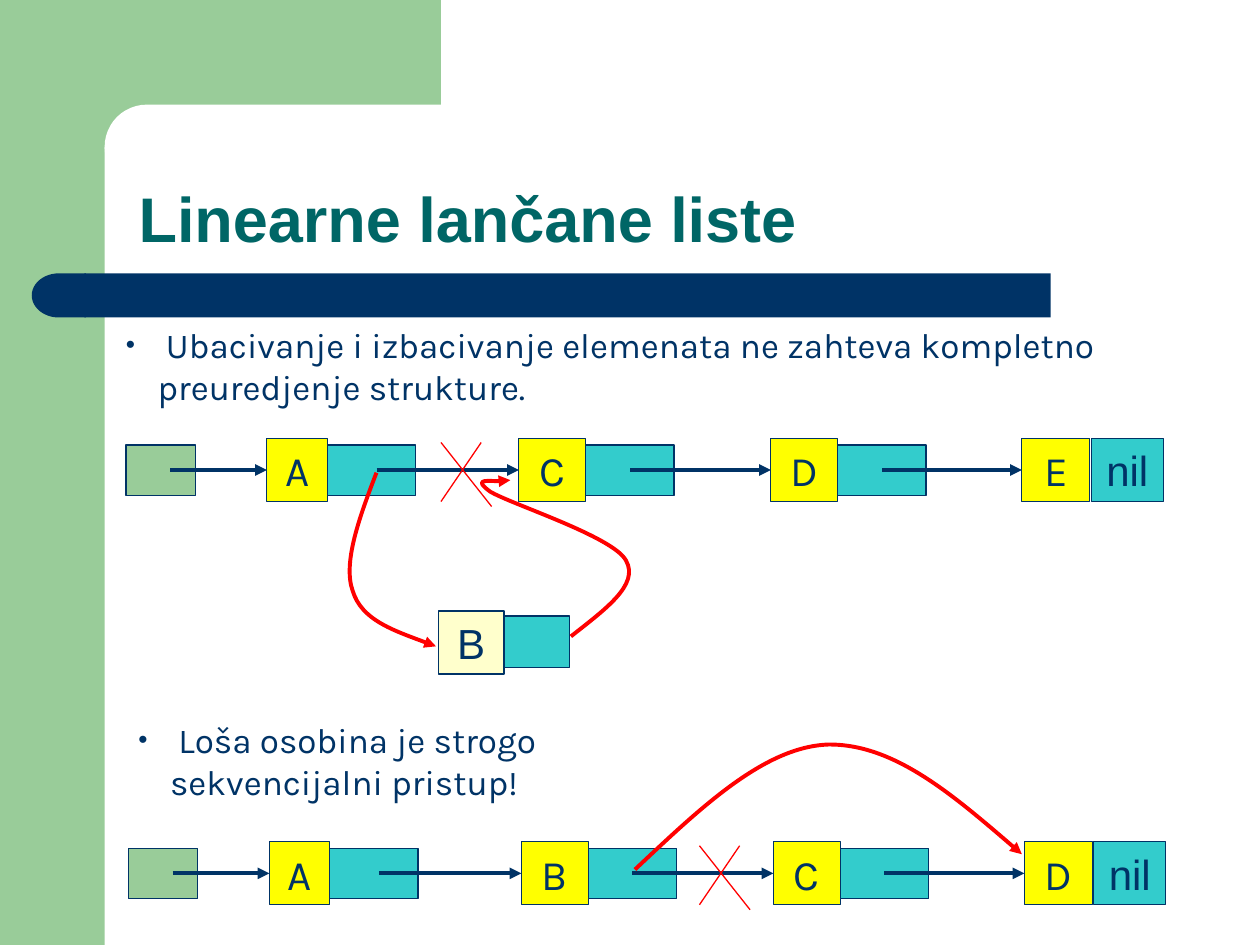
"""Build the slide on inserting into and removing from linked lists."""
from lxml.etree import SubElement
from pptx import Presentation
from pptx.dml.color import RGBColor
from pptx.enum.shapes import MSO_CONNECTOR, MSO_SHAPE
from pptx.enum.text import MSO_ANCHOR, PP_ALIGN
from pptx.oxml.ns import qn
from pptx.util import Cm, Pt

rgb = RGBColor.from_string
NAVY, GREEN, TEAL, YELLOW, RED = "003366", "99CC99", "33CCCC", "FFFF00", "FF0000"


def box(x, y, w, h, fill, text="", font="Karla", kind=MSO_SHAPE.RECTANGLE, border=True):
    sp = s.shapes.add_shape(kind, Cm(x), Cm(y), Cm(w), Cm(h))
    sp.shadow.inherit = False
    sp.fill.solid()
    sp.fill.fore_color.rgb = rgb(fill)
    if border:
        sp.line.color.rgb = rgb(NAVY)
        sp.line.width = Pt(0.75)
    else:
        sp.line.fill.background()
    if text:
        tf = sp.text_frame
        tf.word_wrap = False
        tf.vertical_anchor = MSO_ANCHOR.MIDDLE
        p = tf.paragraphs[0]
        p.alignment = PP_ALIGN.CENTER
        r = p.add_run()
        r.text = text
        for k, v in {"name": font, "size": Pt(24)}.items():
            setattr(r.font, k, v)
        r.font.color.rgb = rgb(NAVY)
    return sp


def stroke(sp, color, width, arrow=True):
    sp.line.color.rgb = rgb(color)
    sp.line.width = Pt(width)
    if arrow:
        SubElement(sp.line._get_or_add_ln(), qn("a:tailEnd"), type="triangle")
    spPr = sp.element.spPr
    if spPr.find(qn("a:effectLst")) is None:
        SubElement(spPr, qn("a:effectLst"))


prs = Presentation()
prs.slide_width, prs.slide_height = Cm(25.4), Cm(19.05)
s = prs.slides.add_slide(prs.slide_layouts[5])

for x, y, w, h, fill, kind, adj in [
    (0, 0, 2.11, 19.05, GREEN, MSO_SHAPE.RECTANGLE, None),
    (1.9, 0, 6.99, 2.97, GREEN, MSO_SHAPE.RECTANGLE, None),
    (2.11, 2.11, 14.17, 1.7, "FFFFFF", MSO_SHAPE.ROUNDED_RECTANGLE, 0.5),
    (1.7, 5.51, 19.48, 0.89, NAVY, MSO_SHAPE.RECTANGLE, None),
    (0.64, 5.51, 1.09, 0.89, NAVY, MSO_SHAPE.FLOWCHART_DELAY, None),
]:
    sp = box(x, y, w, h, fill, kind=kind, border=False)
    if adj is not None:
        sp.adjustments[0] = adj
    if kind == MSO_SHAPE.FLOWCHART_DELAY:
        sp.rotation = 180

title = s.shapes.title
s.shapes.element.append(title.element)
for k, v in {"left": 2.54, "top": 2.11, "width": 22.23, "height": 3.18}.items():
    setattr(title, k, Cm(v))
title.text_frame.vertical_anchor = MSO_ANCHOR.BOTTOM
p = title.text_frame.paragraphs[0]
p.alignment = PP_ALIGN.LEFT
p.line_spacing = 0.9
r = p.add_run()
r.text = "Linearne lančane liste"
for k, v in {"name": "Arial", "size": Pt(36), "bold": True}.items():
    setattr(r.font, k, v)
r.font.color.rgb = rgb("006666")

for x, y, w, text in [
    (2.29, 6.38, 21.21, " Ubacivanje i izbacivanje elemenata ne zahteva kompletno preuredjenje strukture."),
    (2.54, 14.35, 11.51, " Loša osobina je strogo sekvencijalni pristup!"),
]:
    tf = s.shapes.add_textbox(Cm(x), Cm(y), Cm(w), Cm(1.96)).text_frame
    tf.word_wrap = True
    tf.vertical_anchor = MSO_ANCHOR.BOTTOM
    p = tf.paragraphs[0]
    pPr = p._p.get_or_add_pPr()
    pPr.set("marL", str(Cm(0.64)))
    pPr.set("indent", str(-Cm(0.64)))
    SubElement(SubElement(pPr, qn("a:buClr")), qn("a:srgbClr"), val=NAVY)
    SubElement(pPr, qn("a:buSzPct"), val="75000")
    SubElement(pPr, qn("a:buFont"), typeface="Arial")
    SubElement(pPr, qn("a:buChar"), char="•")
    r = p.add_run()
    r.text = text
    for k, v in {"name": "Karla", "size": Pt(20)}.items():
        setattr(r.font, k, v)
    r.font.color.rgb = rgb(NAVY)

node_x, node_w = [5.38, 10.46, 15.54, 20.6], [1.22, 1.35, 1.35, 1.37]
arrow_x = [3.43, 7.59, 12.7, 17.78]
for dx, top, letters, cross_x in [(0, 8.84, "ACDE", 8.89), (0.05, 16.97, "ABCD", 14.1)]:
    box(2.54 + dx, top + 0.13, 1.4, 1.02, GREEN)
    nodes = []
    for x, w, letter in zip(node_x, node_w, letters):
        nodes.append(box(x + dx, top, w, 1.27, YELLOW, letter))
        if x != node_x[-1]:
            box(x + dx + w, top + 0.13, 1.78, 1.02, TEAL)
    box(22 + dx, top, 1.45, 1.27, TEAL, "nil", "Arial")
    mid = Cm(top + 0.635)
    for x, node in zip(arrow_x, nodes):
        ln = s.shapes.add_connector(MSO_CONNECTOR.STRAIGHT, Cm(x + dx), mid, node.left, mid)
        ln.end_connect(node, 1)
        stroke(ln, NAVY, 2.25)
    for x1, x2, h in [(0.81, 0, 1.19), (0, 1.02, 1.29)]:
        ln = s.shapes.add_connector(MSO_CONNECTOR.STRAIGHT, Cm(cross_x + x1), Cm(top + 0.08),
                                    Cm(cross_x + x2), Cm(top + 0.08 + h))
        stroke(ln, RED, 0.75, arrow=False)

box(8.84, 12.32, 1.32, 1.27, "FFFFCC", "B", "Arial")
box(10.16, 12.42, 1.32, 1.04, TEAL)

for start, *points in [
    [(7.59, 9.53), (7.24, 10.44), (6.91, 11.35), (7.11, 11.91),
     (7.29, 12.5), (8.05, 12.75), (8.79, 13.03)],
    [(11.51, 12.83), (12.19, 12.29), (12.9, 11.79), (12.62, 11.3),
     (12.37, 10.82), (10.29, 10.16), (9.88, 9.91),
     (9.5, 9.63), (10.24, 9.73), (10.29, 9.68)],
    [(12.8, 17.53), (14.1, 16.31), (15.39, 15.06), (16.69, 15.01),
     (18.01, 14.99), (19.3, 16.1), (20.6, 17.22)],
]:
    fb = s.shapes.build_freeform(Cm(start[0]), Cm(start[1]))
    fb.add_line_segments([(Cm(x), Cm(y)) for x, y in points], close=False)
    sp = fb.convert_to_shape()
    sp.shadow.inherit = False
    sp.fill.background()
    stroke(sp, RED, 2.25)
    segments = list(sp.element.iter(qn("a:lnTo")))
    outline = segments[0].getparent()
    for i in range(0, len(segments), 3):
        curve = SubElement(outline, qn("a:cubicBezTo"))
        for seg in segments[i:i + 3]:
            curve.append(seg[0])
            outline.remove(seg)

prs.save("out.pptx")
